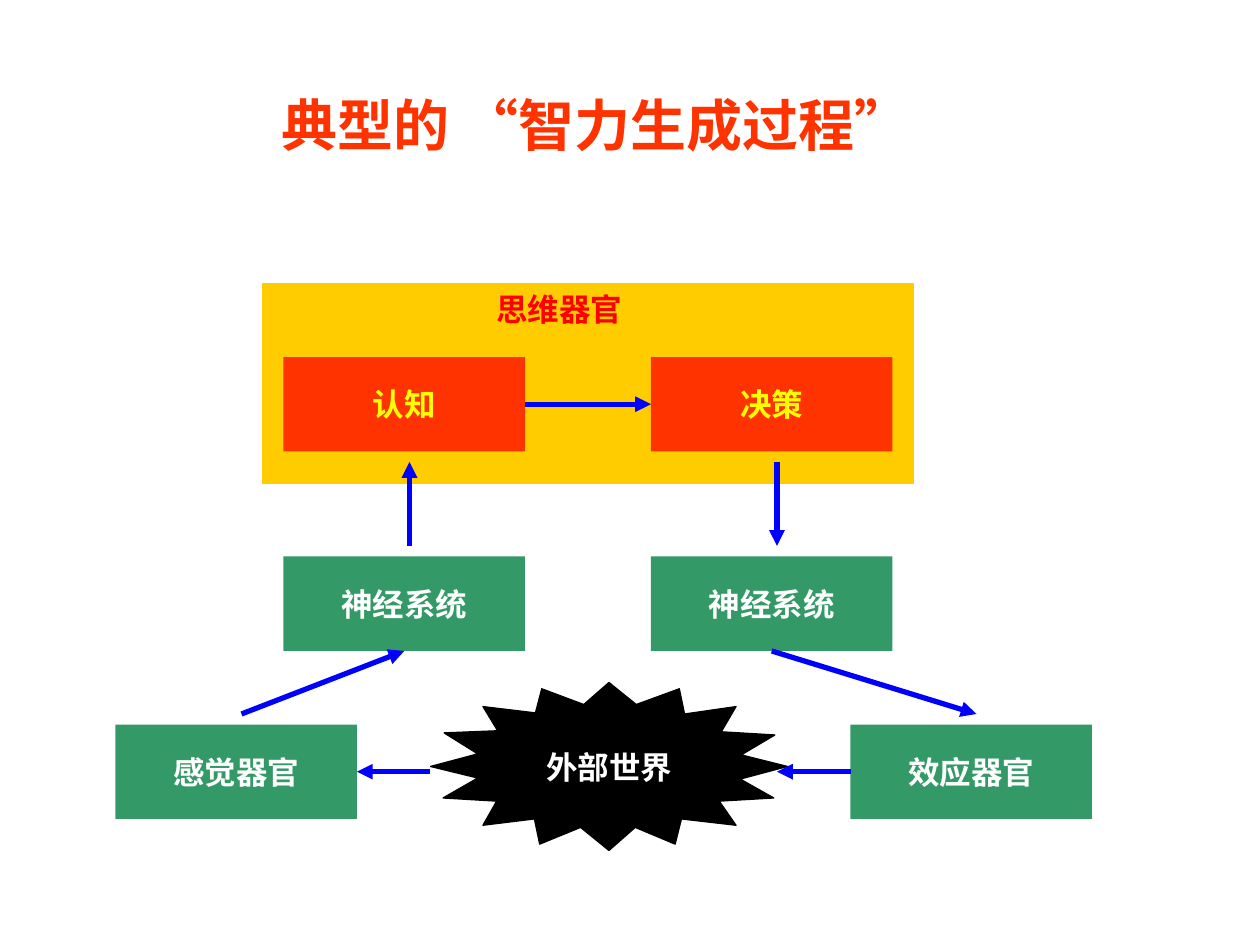
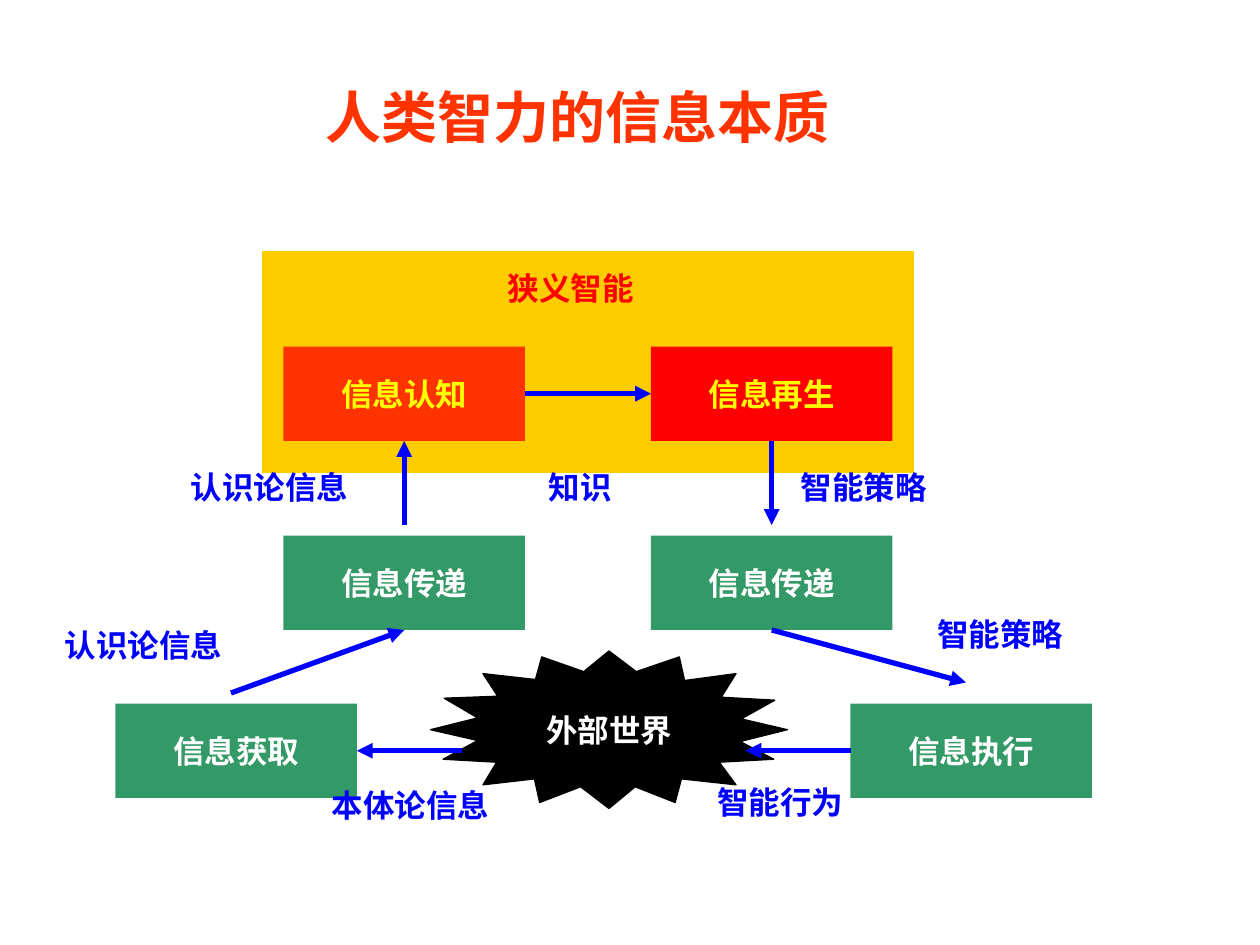
from dataclasses import dataclass
from typing import Any, NamedTuple

from lxml.etree import SubElement
from pptx import Presentation
from pptx.dml.color import RGBColor
from pptx.enum.shapes import MSO_CONNECTOR, MSO_SHAPE
from pptx.enum.text import MSO_ANCHOR, MSO_AUTO_SIZE, PP_ALIGN
from pptx.oxml.ns import qn
from pptx.util import Emu, Pt

PX = 7620
WIDE, HIGH = 1200, 900
NODE_W, NODE_H = 230, 90
PAD_X, PAD_Y = 12, 6
BOTTOM, LEFT, RIGHT = 2, 1, 3

RED = RGBColor(0xFF, 0x00, 0x00)
FLAME = RGBColor(0xFF, 0x33, 0x00)
GOLD = RGBColor(0xFF, 0xCC, 0x00)
LEMON = RGBColor(0xFF, 0xFF, 0x00)
GREEN = RGBColor(0x33, 0x99, 0x66)
BLUE = RGBColor(0x00, 0x00, 0xFF)
BLACK = RGBColor(0x00, 0x00, 0x00)
WHITE = RGBColor(0xFF, 0xFF, 0xFF)

HEAD = {"name": "Arial", "size": Pt(32), "bold": True}
BODY = {"name": "Arial", "size": Pt(18), "bold": True}

BURST = [
    (0, 80), (45, 91), (12, 110), (63, 113), (50, 136), (99, 130), (104, 154), (143, 138),
    (170, 160), (195, 138), (233, 154), (239, 130), (291, 136), (275, 113), (327, 110), (295, 92),
    (340, 80), (296, 69), (328, 50), (277, 47), (291, 23), (242, 30), (237, 6), (196, 21),
    (170, 0), (146, 21), (106, 6), (100, 29), (50, 23), (64, 46), (13, 48), (45, 68),
]
BURST_X, BURST_H = 410, 160


class Box(NamedTuple):
    left: int
    top: int
    width: int
    height: int


class Spot(NamedTuple):
    x: int
    y: int


class Port(NamedTuple):
    node: str
    side: int


class Arrow(NamedTuple):
    start: Spot | Port
    end: Spot | Port


@dataclass
class Title:
    text: str
    box: Box
    anchor: MSO_ANCHOR
    inset: int = PAD_X


@dataclass
class Node:
    key: str
    text: str
    left: int
    top: int
    fill: RGBColor = GREEN
    ink: RGBColor = WHITE
    font: str = "Arial"


@dataclass
class Label:
    text: str
    left: int
    top: int
    ink: RGBColor = BLUE
    font: str = "Arial"
    align: PP_ALIGN = PP_ALIGN.LEFT


@dataclass
class Scene:
    title: Title
    panel: Box
    nodes: list[Node]
    burst: tuple[int, int]
    arrows: list[Arrow]
    labels: list[Label]


def put(item: Any, style: dict[str, Any]) -> None:
    for name, value in style.items():
        setattr(item, name, value)


def emu(box: Box) -> list[Emu]:
    return [Emu(n * PX) for n in box]


def write(shape: Any, text: str, style: dict[str, Any], ink: RGBColor, align: PP_ALIGN = PP_ALIGN.CENTER,
          anchor: MSO_ANCHOR = MSO_ANCHOR.MIDDLE, wrap: bool = False, inset: int = PAD_X) -> None:
    frame = shape.text_frame
    put(frame, {
        "text": text, "word_wrap": wrap, "auto_size": MSO_AUTO_SIZE.NONE, "vertical_anchor": anchor,
        "margin_left": Emu(inset * PX), "margin_right": Emu(PAD_X * PX),
        "margin_top": Emu(PAD_Y * PX), "margin_bottom": Emu(PAD_Y * PX),
    })
    line = frame.paragraphs[0]
    line.alignment = align
    font = line.runs[0].font
    put(font, style)
    font.color.rgb = ink


def paint(shape: Any, fill: RGBColor, edge: bool) -> None:
    shape.shadow.inherit = False
    shape.fill.solid()
    shape.fill.fore_color.rgb = fill
    if edge:
        shape.line.color.rgb = fill
        shape.line.width = Pt(0.75)
    else:
        shape.line.fill.background()


def add_title(slide: Any, title: Title) -> None:
    shape = slide.shapes.title
    put(shape, dict(zip(Box._fields, emu(title.box))))
    write(shape, title.text, HEAD, FLAME, anchor=title.anchor, wrap=True, inset=title.inset)


def add_rect(slide: Any, box: Box, fill: RGBColor, edge: bool) -> Any:
    shape = slide.shapes.add_shape(MSO_SHAPE.RECTANGLE, *emu(box))
    paint(shape, fill, edge)
    return shape


def add_node(slide: Any, node: Node) -> Any:
    shape = add_rect(slide, Box(node.left, node.top, NODE_W, NODE_H), node.fill, False)
    write(shape, node.text, BODY | {"name": node.font}, node.ink)
    return shape


def add_burst(slide: Any, top: int, height: int) -> None:
    pen = slide.shapes.build_freeform(*BURST[0], scale=(PX, PX * height / BURST_H))
    pen.add_line_segments(BURST[1:], close=True)
    shape = pen.convert_to_shape(Emu(BURST_X * PX), Emu(top * PX))
    paint(shape, BLACK, True)
    write(shape, "外部世界", BODY, WHITE)


def add_arrow(slide: Any, arrow: Arrow, nodes: dict[str, Any]) -> None:
    ends = [Spot(0, 0) if isinstance(end, Port) else end for end in arrow]
    line = slide.shapes.add_connector(MSO_CONNECTOR.STRAIGHT, *[Emu(n * PX) for end in ends for n in end])
    for end, join in zip(arrow, (line.begin_connect, line.end_connect)):
        if isinstance(end, Port):
            join(nodes[end.node], end.side)
    line.line.color.rgb = BLUE
    line.line.width = Pt(3)
    form = line.element.spPr
    SubElement(form.find(qn("a:ln")), qn("a:tailEnd"), type="triangle")
    SubElement(form, qn("a:effectLst"))


def add_label(slide: Any, label: Label) -> None:
    box = Box(label.left, label.top, 30 * len(label.text) + 2 * PAD_X, 48)
    shape = slide.shapes.add_textbox(*emu(box))
    write(shape, label.text, BODY | {"name": label.font}, label.ink, label.align, MSO_ANCHOR.TOP)


def draw(deck: Any, scene: Scene) -> None:
    slide = deck.slides.add_slide(deck.slide_layouts[5])
    add_title(slide, scene.title)
    add_rect(slide, scene.panel, GOLD, True)
    nodes = {node.key: add_node(slide, node) for node in scene.nodes}
    add_burst(slide, *scene.burst)
    for arrow in scene.arrows:
        add_arrow(slide, arrow, nodes)
    for label in scene.labels:
        add_label(slide, label)


ORGANS = Scene(
    Title("典型的 “智力生成过程”", Box(211, 80, 684, 77), MSO_ANCHOR.TOP, 42),
    Box(250, 270, 620, 190),
    [
        Node("sense", "感觉器官", 110, 690),
        Node("inward", "神经系统", 270, 530, font="Noto Sans CJK SC"),
        Node("know", "认知", 270, 340, FLAME, LEMON),
        Node("decide", "决策", 620, 340, FLAME, LEMON),
        Node("outward", "神经系统", 620, 530),
        Node("effect", "效应器官", 810, 690),
    ],
    (650, 160),
    [
        Arrow(Spot(410, 735), Port("sense", RIGHT)),
        Arrow(Spot(230, 680), Port("inward", BOTTOM)),
        Arrow(Spot(390, 520), Spot(390, 440)),
        Arrow(Port("know", RIGHT), Port("decide", LEFT)),
        Arrow(Spot(740, 440), Spot(740, 520)),
        Arrow(Port("outward", BOTTOM), Spot(930, 680)),
        Arrow(Port("effect", LEFT), Spot(740, 735)),
    ],
    [Label("思维器官", 461, 270, RED, "Cabin")],
)

FLOW = Scene(
    Title("人类智力的信息本质", Box(80, 60, 940, 89), MSO_ANCHOR.BOTTOM),
    Box(250, 240, 620, 210),
    [
        Node("sense", "信息获取", 110, 670),
        Node("inward", "信息传递", 270, 510),
        Node("know", "信息认知", 270, 330, FLAME, LEMON),
        Node("decide", "信息再生", 620, 330, RED, LEMON),
        Node("outward", "信息传递", 620, 510),
        Node("effect", "信息执行", 810, 670),
    ],
    (620, 150),
    [
        Arrow(Spot(440, 715), Port("sense", RIGHT)),
        Arrow(Spot(220, 660), Port("inward", BOTTOM)),
        Arrow(Spot(385, 500), Port("know", BOTTOM)),
        Arrow(Port("know", RIGHT), Port("decide", LEFT)),
        Arrow(Port("decide", BOTTOM), Spot(735, 500)),
        Arrow(Port("outward", BOTTOM), Spot(920, 650)),
        Arrow(Port("effect", LEFT), Spot(710, 715)),
    ],
    [
        Label("认识论信息", 170, 440),
        Label("知识", 511, 440),
        Label("智能策略", 751, 440),
        Label("狭义智能", 472, 250, RED, "Cabin"),
        Label("本体论信息", 304, 743, align=PP_ALIGN.CENTER),
        Label("认识论信息", 50, 590),
        Label("智能策略", 881, 580),
        Label("智能行为", 671, 740, align=PP_ALIGN.CENTER),
    ],
)


def main() -> None:
    deck = Presentation()
    put(deck, {"slide_width": Emu(WIDE * PX), "slide_height": Emu(HIGH * PX)})
    for scene in (ORGANS, FLOW):
        draw(deck, scene)
    deck.save("out.pptx")


if __name__ == "__main__":
    main()
